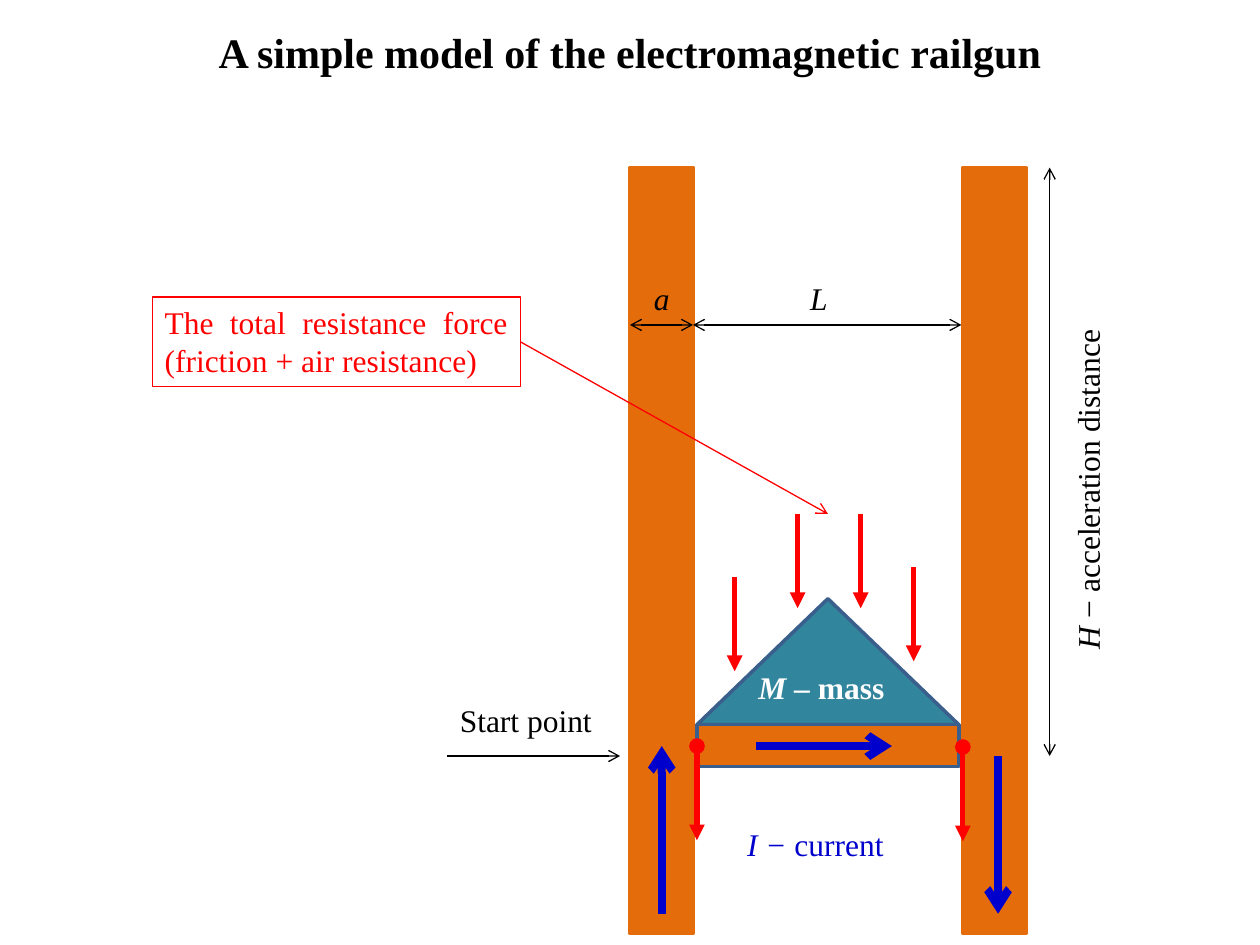
import pptx
import pptx.util
import pptx.dml.color
import pptx.enum.shapes
import pptx.enum.text
import pptx.oxml.ns
import lxml.etree

Cm = pptx.util.Cm
Pt = pptx.util.Pt
SHAPE = pptx.enum.shapes.MSO_SHAPE
ALIGN = pptx.enum.text.PP_ALIGN
ANCHOR = pptx.enum.text.MSO_ANCHOR
qn = pptx.oxml.ns.qn
COLORS = {
    "black": "000000", "white": "FFFFFF", "red": "FF0000", "blue": "0000CC",
    "rail": "E46C0A", "projectile": "31859C", "edge": "3A5F8C",
}
COLORS = {name: pptx.dml.color.RGBColor.from_string(value) for name, value in COLORS.items()}

deck = pptx.Presentation()
deck.slide_width, deck.slide_height = Cm(25.4), Cm(19.05)
page = deck.slides.add_slide(deck.slide_layouts[6])


def add_arrow(start, end, color, width, head=None, tail="arrow"):
    line = page.shapes.add_connector(
        pptx.enum.shapes.MSO_CONNECTOR.STRAIGHT, *[Cm(value) for value in start + end])
    line.line.color.rgb = COLORS[color]
    line.line.width = Pt(width)
    properties = line._element.spPr
    outline = properties.find(qn("a:ln"))
    for tag, style in (("a:headEnd", head), ("a:tailEnd", tail)):
        if style:
            lxml.etree.SubElement(outline, qn(tag)).set("type", style)
    lxml.etree.SubElement(properties, qn("a:effectLst"))
    return line


def write(box, spans, color, size=18, align=ALIGN.LEFT):
    para = box.text_frame.paragraphs[0]
    para.alignment = align
    for text, bold, italic in spans:
        span = para.add_run()
        span.text = text
        span.font.name = "Times New Roman"
        span.font.size = Pt(size)
        span.font.bold, span.font.italic = bold, italic
        span.font.color.rgb = COLORS[color]


# Projectile, two rails and armature
for kind, left, top, width, height, fill, edge in (
    (SHAPE.ISOSCELES_TRIANGLE, 14.05, 12.07, 5.28, 2.54, "projectile", "edge"),
    (SHAPE.RECTANGLE, 12.7, 3.38, 1.27, 15.44, "rail", "rail"),
    (SHAPE.RECTANGLE, 19.41, 3.38, 1.27, 15.44, "rail", "rail"),
    (SHAPE.RECTANGLE, 14.05, 14.61, 5.28, 0.84, "rail", "edge"),
):
    part = page.shapes.add_shape(kind, Cm(left), Cm(top), Cm(width), Cm(height))
    part.shadow.inherit = False
    part.fill.solid()
    part.fill.fore_color.rgb = COLORS[fill]
    part.line.color.rgb = COLORS[edge]
    part.line.width = Pt(2)

# Dimensions a, L and H, and the start point
for start, end in (((12.7, 6.55), (13.97, 6.55)),
                   ((13.97, 6.55), (19.38, 6.55)),
                   ((21.16, 15.24), (21.16, 3.38))):
    add_arrow(start, end, "black", 0.75, head="arrow")
add_arrow((9.02, 15.24), (12.5, 15.24), "black", 0.75)

# Current path
for start, end in (((13.34, 18.42), (13.34, 15.04)),
                   ((15.24, 15.04), (17.98, 15.04)),
                   ((20.12, 15.24), (20.12, 18.42))):
    add_arrow(start, end, "blue", 4.5)

# Friction at the rails and air resistance above the projectile
FORCE_LENGTH = 1.9
for x, y, head in ((14.05, 15.04, "oval"), (19.41, 15.06, "oval"),
                   (14.81, 11.63, None), (16.08, 10.36, None),
                   (17.35, 10.36, None), (18.42, 11.43, None)):
    add_arrow((x, y), (x, y + FORCE_LENGTH), "red", 3, head=head, tail="triangle")

# Resistance note with its leader
note = page.shapes.add_shape(SHAPE.RECTANGLE, Cm(3.07), Cm(5.99), Cm(7.42), Cm(1.8))
note.shadow.inherit = False
note.fill.background()
note.line.color.rgb = COLORS["red"]
note.line.width = Pt(0.75)
note.text_frame.word_wrap = True
note.text_frame.vertical_anchor = ANCHOR.TOP
write(note, [("The total resistance force (friction + air resistance)", False, False)],
      "red", align=ALIGN.JUSTIFY)
leader = add_arrow((10.49, 6.89), (16.69, 10.36), "red", 0.75)
leader.begin_connect(note, 3)

# Title
title = page.shapes.add_textbox(Cm(0), Cm(0.18), Cm(25.4), Cm(1.73))
title.text_frame.word_wrap = True
title.text_frame.vertical_anchor = ANCHOR.MIDDLE
write(title, [("A simple model of the electromagnetic railgun", True, False)],
      "black", size=24, align=ALIGN.CENTER)

# Labels
for left, top, width, turn, color, spans in (
    (12.93, 5.51, 0.84, 0, "black", [("a", False, True)]),
    (16.08, 5.51, 0.86, 0, "black", [("L", False, True)]),
    (15.04, 13.34, 3.23, 0, "white", [("M – ", True, True), ("mass", True, False)]),
    (18.42, 9.32, 7.01, 270, "black",
     [("H", False, True), (" − acceleration distance", False, False)]),
    (14.81, 16.51, 3.3, 0, "blue", [("I − ", False, True), ("current", False, False)]),
    (9.02, 14, 3.23, 0, "black", [("Start point", False, False)]),
):
    label = page.shapes.add_textbox(Cm(left), Cm(top), Cm(width), Cm(1.02))
    label.rotation = turn
    label.text_frame.word_wrap = False
    label.text_frame.auto_size = pptx.enum.text.MSO_AUTO_SIZE.SHAPE_TO_FIT_TEXT
    write(label, spans, color)

deck.save("out.pptx")
